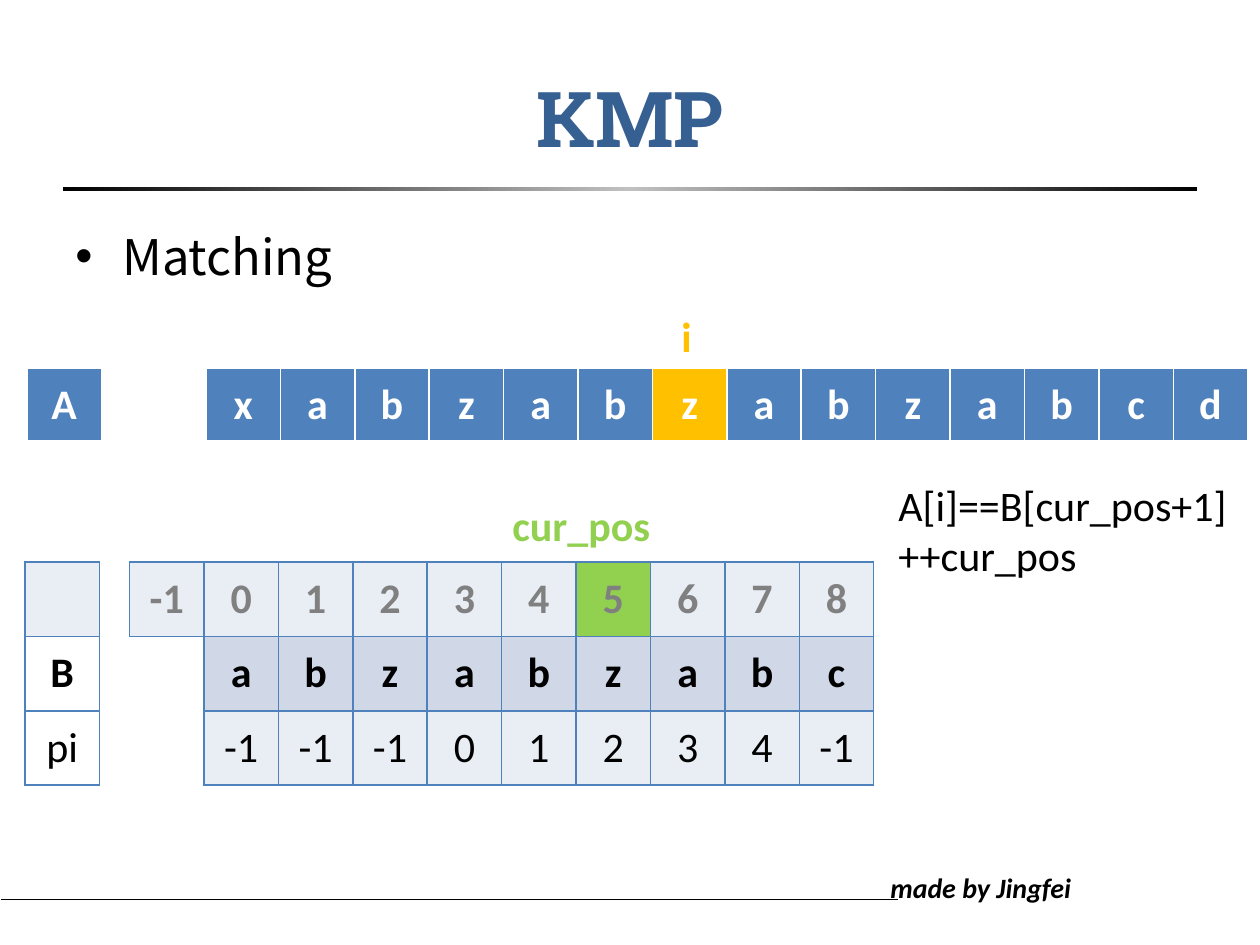
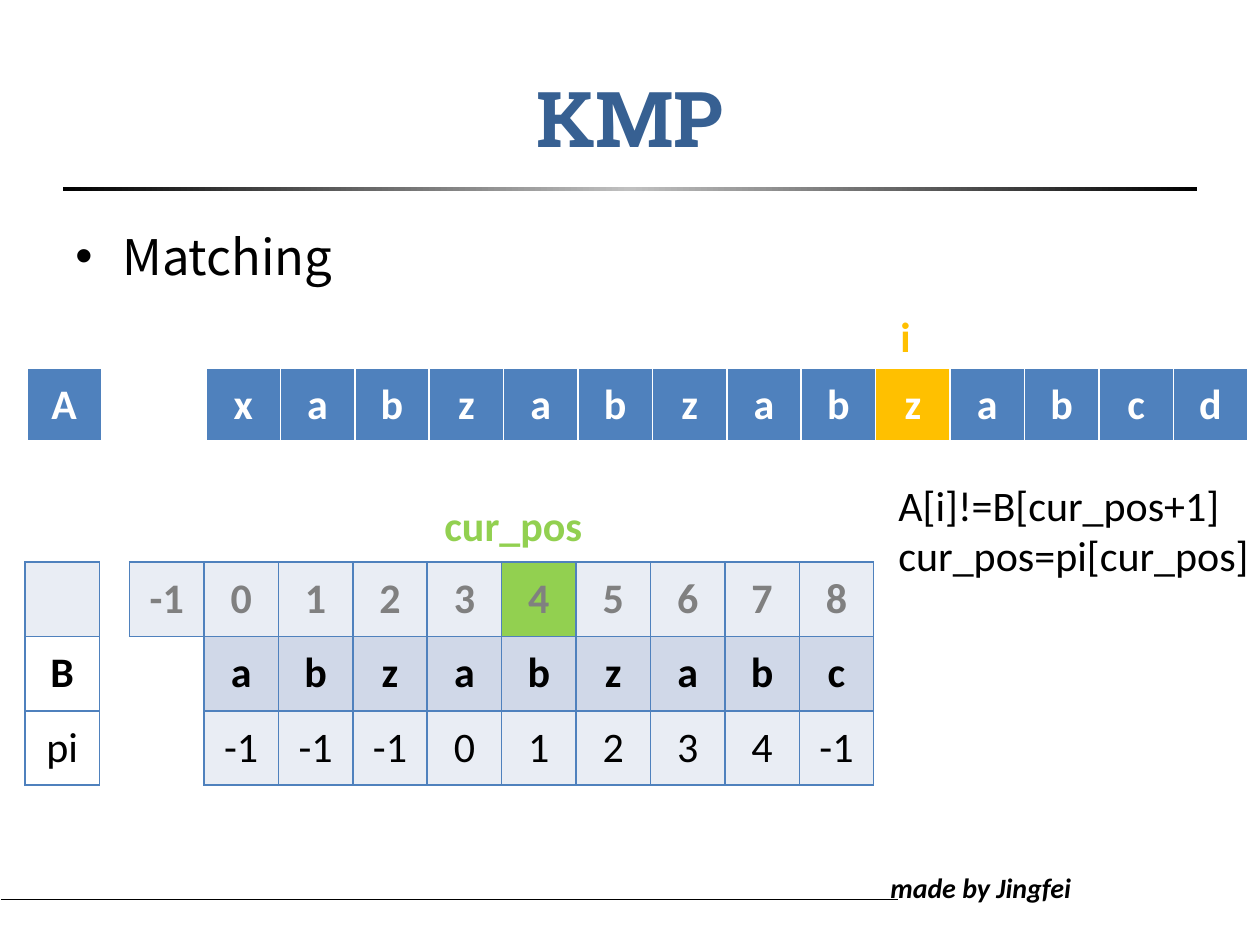
from copy import deepcopy
from dataclasses import dataclass
from typing import Optional

from lxml.etree import SubElement as Sub
from pptx import Presentation
from pptx.dml.color import RGBColor as Rgb
from pptx.enum.shapes import MSO_CONNECTOR as Link, MSO_SHAPE as Shape
from pptx.enum.text import MSO_ANCHOR as Anchor, PP_ALIGN as Align
from pptx.oxml.ns import qn
from pptx.util import Emu, Inches, Pt

SCALE = Inches(1) / 126
BLACK = Rgb(0x00, 0x00, 0x00)
WHITE = Rgb(0xFF, 0xFF, 0xFF)
SILVER = Rgb(0xC0, 0xC0, 0xC0)
GRAY = Rgb(0x80, 0x80, 0x80)
NAVY = Rgb(0x37, 0x60, 0x92)
BLUE = Rgb(0x4F, 0x81, 0xBD)
PALE = Rgb(0xE9, 0xED, 0xF4)
MIST = Rgb(0xD0, 0xD8, 0xE8)
GOLD = Rgb(0xFF, 0xC0, 0x00)
GREEN = Rgb(0x92, 0xD0, 0x50)

TEXT = "xabzabzabzabcd"
WORD = "abzabzabc"
FAIL = [-1, -1, -1, 0, 1, 2, 3, 4, -1]


def px(n: int) -> Emu:
    return Emu(round(n * SCALE))


CELL = px(521) // 7
GAP = px(29)


@dataclass
class Face:
    name: str = "Calibri"
    size: int = 24
    color: Rgb = BLACK
    bold: bool = False
    slant: bool = False


@dataclass
class Box:
    text: str
    fill: Optional[Rgb]
    face: Face


@dataclass
class Step:
    hit: int
    pos: int
    hit_x: int
    pos_x: int
    code: list[str]


Row = list[Optional[Box]]

STEPS = [
    Step(6, 5, 669, 500, ["    A[i]==B[cur_pos+1]", "    ++cur_pos"]),
    Step(9, 4, 888, 432, ["    A[i]!=B[cur_pos+1]", "    cur_pos=pi[cur_pos]"]),
]


def style(para, face: Face) -> None:
    font = para.font
    font.name = face.name
    font.size = Pt(face.size)
    font.bold = face.bold
    font.italic = face.slant
    font.color.rgb = face.color


def label(slide, x: int, y: int, w: int, h: int, lines: list[str],
          face: Face, wrap: bool = False, dot: bool = False) -> None:
    frame = slide.shapes.add_textbox(px(x), px(y), px(w), px(h)).text_frame
    frame.word_wrap = wrap
    frame.text = "\n".join(lines)
    for para in frame.paragraphs:
        if dot:
            props = para._p.get_or_add_pPr()
            props.set("marL", str(px(47)))
            props.set("indent", str(px(-47)))
            Sub(props, qn("a:buFont"), typeface="Arial")
            Sub(props, qn("a:buChar"), char="•")
        style(para, face)


def edge(cell, side: str, color: Optional[Rgb], width: int) -> None:
    line = Sub(cell._tc.get_or_add_tcPr(), qn(f"a:ln{side}"), w=str(Pt(width)))
    if color is None:
        Sub(line, qn("a:noFill"))
    else:
        fill = Sub(line, qn("a:solidFill"))
        Sub(fill, qn("a:srgbClr"), val=str(color))


def grid(slide, x: int, y: int, rows: list[Row], color: Rgb, base: int) -> None:
    count = len(rows[0])
    wide = CELL * (count - 1) + GAP
    table = slide.shapes.add_table(
        len(rows), count, px(x), px(y), wide, CELL * len(rows)).table
    table.first_row = table.horz_banding = False
    for n, col in enumerate(table.columns):
        col.width = GAP if n == 1 else CELL
    for row in table.rows:
        row.height = CELL

    def drawn(r: int, c: int) -> bool:
        return 0 <= r < len(rows) and 0 <= c < count and rows[r][c] is not None

    sides = {"L": (0, -1), "R": (0, 1), "T": (-1, 0), "B": (1, 0)}
    for r, row in enumerate(rows):
        for c, box in enumerate(row):
            cell = table.cell(r, c)
            for side, (down, over) in sides.items():
                seen = drawn(r, c) or drawn(r + down, c + over)
                edge(cell, side, color if seen else None, base if side == "B" else 1)
            if box is None or box.fill is None:
                cell.fill.background()
            else:
                cell.fill.solid()
                cell.fill.fore_color.rgb = box.fill
            if box is not None:
                cell.vertical_anchor = Anchor.MIDDLE
                cell.text = box.text
                para = cell.text_frame.paragraphs[0]
                para.alignment = Align.CENTER
                style(para, box.face)


def frame(slide) -> None:
    line = slide.shapes.add_connector(
        Link.STRAIGHT, px(1), px(899), px(898), px(899))
    line.line.color.rgb = BLACK
    line.line.width = Pt(0.5)
    Sub(line._element.spPr, qn("a:effectLst"))
    label(slide, 878, 864, 210, 47, ["made by Jingfei"],
          Face(size=16, bold=True, slant=True), wrap=True)

    bar = slide.shapes.add_shape(
        Shape.RECTANGLE, px(63), px(187), px(1134), px(4))
    bar.shadow.inherit = False
    bar.line.fill.background()
    bar.fill.gradient()
    bar.fill.gradient_angle = 0
    stops = bar._element.spPr.find(".//" + qn("a:gsLst"))
    stops.append(deepcopy(stops[0]))
    tones = [(0, BLACK), (0.5, SILVER), (1, BLACK)]
    for stop, (place, tone) in zip(bar.fill.gradient_stops, tones):
        stop.position = place
        stop.color.rgb = tone

    title = slide.shapes.title
    title.left, title.top = px(63), px(38)
    title.width, title.height = px(1134), px(157)
    title.text_frame.text = "KMP"
    title.text_frame.vertical_anchor = Anchor.MIDDLE
    para = title.text_frame.paragraphs[0]
    para.alignment = Align.CENTER
    style(para, Face("Roboto Slab", 44, NAVY, True))
    label(slide, 63, 220, 1197, 688, ["Matching"],
          Face("Noto Sans CJK SC", 28), wrap=True, dot=True)


def draw(slide, step: Step) -> None:
    frame(slide)
    light, dim = Face(color=WHITE, bold=True), Face(color=GRAY, bold=True)
    bold, plain = Face(bold=True), Face()

    top: Row = [Box("A", BLUE, light), None, None]
    top += [Box(c, GOLD if n == step.hit else BLUE, light)
            for n, c in enumerate(TEXT)]
    grid(slide, 27, 368, [top], WHITE, 3)

    index: Row = [Box("", PALE, dim), None]
    index += [Box(str(n), GREEN if n == step.pos else PALE, dim)
              for n in range(-1, len(WORD))]
    word: Row = [Box("B", None, bold), None, None]
    word += [Box(c, MIST, bold) for c in WORD]
    fail: Row = [Box("pi", None, plain), None, None]
    fail += [Box(str(n), PALE, plain) for n in FAIL]
    grid(slide, 25, 562, [index, word, fail], BLUE, 1)

    label(slide, 848, 473, 435, 115, step.code, plain)
    label(slide, step.hit_x, 304, 37, 63, ["i"], Face(color=GOLD, bold=True))
    label(slide, step.pos_x, 493, 180, 63, ["cur_pos"],
          Face(color=GREEN, bold=True))


def main() -> None:
    deck = Presentation()
    deck.slide_width, deck.slide_height = px(1260), px(945)
    for step in STEPS:
        draw(deck.slides.add_slide(deck.slide_layouts[5]), step)
    deck.save("out.pptx")


if __name__ == "__main__":
    main()
